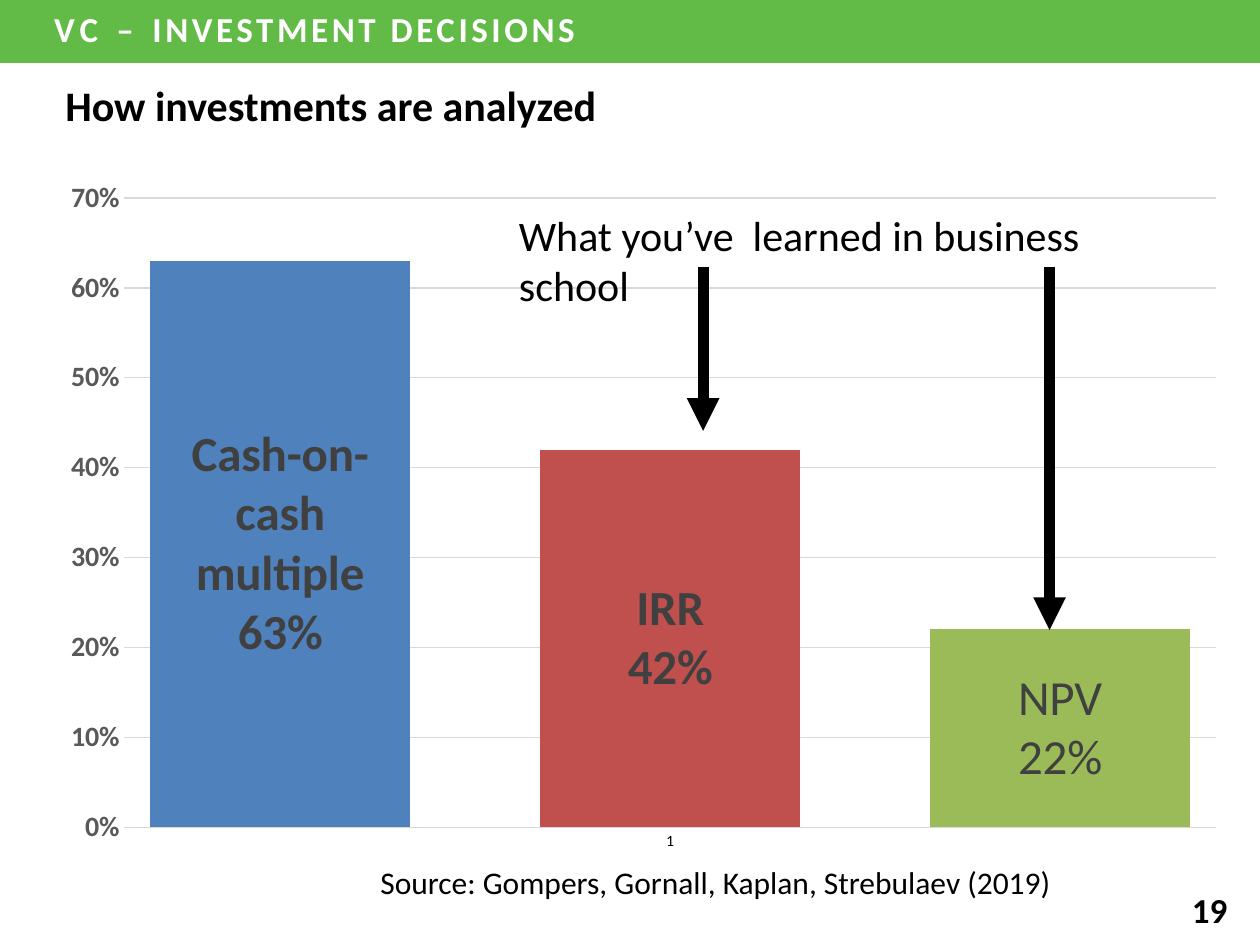
from lxml import etree
from pptx import Presentation
from pptx.chart.data import CategoryChartData
from pptx.dml.color import RGBColor
from pptx.enum.chart import XL_CHART_TYPE, XL_LABEL_POSITION, XL_TICK_MARK
from pptx.enum.shapes import MSO_CONNECTOR, MSO_SHAPE
from pptx.enum.text import MSO_ANCHOR, PP_ALIGN
from pptx.oxml import parse_xml
from pptx.oxml.ns import nsdecls, qn
from pptx.util import Inches, Pt

COLUMN = XL_CHART_TYPE.COLUMN_CLUSTERED
CENTER = XL_LABEL_POSITION.CENTER
NO_TICK = XL_TICK_MARK.NONE
STRAIGHT = MSO_CONNECTOR.STRAIGHT
RECT = MSO_SHAPE.RECTANGLE
TOP, MIDDLE = MSO_ANCHOR.TOP, MSO_ANCHOR.MIDDLE
LEFT, RIGHT = PP_ALIGN.LEFT, PP_ALIGN.RIGHT

FACE = "Calibri"
BLACK = RGBColor(0x00, 0x00, 0x00)
WHITE = RGBColor(0xFF, 0xFF, 0xFF)
GREEN = RGBColor(0x62, 0xBB, 0x46)
GRID = RGBColor(0xD9, 0xD9, 0xD9)
GRAY = RGBColor(0x59, 0x59, 0x59)
DARK = RGBColor(0x40, 0x40, 0x40)
BLUE = RGBColor(0x4F, 0x81, 0xBD)
RED = RGBColor(0xC0, 0x50, 0x4D)
OLIVE = RGBColor(0x9B, 0xBB, 0x59)

METHODS = [
    ("Cash-on-cash multiple", 0.63, BLUE),
    ("IRR", 0.42, RED),
    ("Series 3", 0.22, OLIVE),
]
PLOT = {"x": 0.06, "y": 0.04, "w": 0.92, "h": 0.9}


def set_font(font, size, color=BLACK, bold=False):
    font.name = FACE
    font.size = Pt(size)
    font.bold = bold
    font.color.rgb = color


def add_text(slide, box, text, size, bold=False, align=LEFT):
    shape = slide.shapes.add_textbox(*map(Inches, box))
    frame = shape.text_frame
    frame.word_wrap = True
    frame.vertical_anchor = TOP
    para = frame.paragraphs[0]
    para.text = text
    para.alignment = align
    set_font(para.font, size, bold=bold)


def add_header(slide):
    bar = slide.shapes.add_shape(RECT, 0, 0, Inches(10), Inches(0.5))
    bar.shadow.inherit = False
    bar.fill.solid()
    bar.fill.fore_color.rgb = GREEN
    bar.line.fill.background()
    frame = bar.text_frame
    frame.vertical_anchor = MIDDLE
    frame.margin_left = Inches(0.43)
    frame.margin_top = 0
    frame.margin_bottom = Inches(0.05)
    para = frame.paragraphs[0]
    para.alignment = LEFT
    set_font(para.font, 20, WHITE, True)
    for text, gap in (("VC – ", 300), ("INVESTMENT DECISIONS", 200)):
        run = para.add_run()
        run.text = text
        run.font._element.set("spc", str(gap))


def add_arrow(slide, x, top, end):
    arrow = slide.shapes.add_connector(
        STRAIGHT, Inches(x), Inches(top), Inches(x), Inches(end))
    arrow.line.color.rgb = BLACK
    arrow.line.width = Pt(6.25)
    tail = etree.SubElement(arrow.line._get_or_add_ln(), qn("a:tailEnd"))
    tail.set("type", "triangle")
    etree.SubElement(arrow._element.spPr, qn("a:effectLst"))


def set_line(line):
    line.color.rgb = GRID
    line.width = Pt(0.75)


def style_axes(chart):
    cat, val = chart.category_axis, chart.value_axis
    for axis in (cat, val):
        axis.major_tick_mark = axis.minor_tick_mark = NO_TICK
    set_font(cat.tick_labels.font, 9)
    set_line(cat.format.line)
    set_font(val.tick_labels.font, 16, GRAY, True)
    val.tick_labels.number_format = "0%"
    val.tick_labels.number_format_is_linked = False
    val.minimum_scale = 0
    val.maximum_scale = 0.7
    val.major_unit = 0.1
    val.format.line.fill.background()
    set_line(val.major_gridlines.format.line)


def style_series(series, color):
    series.format.fill.solid()
    series.format.fill.fore_color.rgb = color
    labels = series.data_labels
    set_font(labels.font, 28, DARK, True)
    labels.number_format = "0%"
    labels.number_format_is_linked = False
    labels.position = CENTER
    labels.show_value = True
    labels.show_series_name = True
    mark = etree.SubElement(labels._element, qn("c:separator"))
    mark.text = "\n"


def label_point(series, text):
    label = series.points[0].data_label
    frame = label.text_frame
    frame.text = text
    for para in frame.paragraphs:
        set_font(para.font, 28, DARK)
    label.position = CENTER


def place_plot(chart):
    area = chart._chartSpace.chart.plotArea
    for old in area.findall(qn("c:layout")):
        area.remove(old)
    modes = '<c:xMode val="edge"/><c:yMode val="edge"/>'
    sizes = "".join(f'<c:{k} val="{v}"/>' for k, v in PLOT.items())
    area.insert(0, parse_xml(
        f'<c:layout {nsdecls("c")}><c:manualLayout>'
        f'<c:layoutTarget val="inner"/>{modes}{sizes}'
        '</c:manualLayout></c:layout>'))


def add_bars(slide, box):
    data = CategoryChartData(number_format="0%")
    data.categories = ["1"]
    for name, share, _ in METHODS:
        data.add_series(name, [share])
    chart = slide.shapes.add_chart(COLUMN, *map(Inches, box), data).chart
    chart.has_legend = False
    chart.has_title = False
    set_font(chart.font, 10)
    plot = chart.plots[0]
    plot.vary_by_categories = False
    plot.gap_width = 20
    plot.overlap = -50
    style_axes(chart)
    for series, (_, _, color) in zip(plot.series, METHODS):
        style_series(series, color)
    label_point(plot.series[2], "NPV\n22%")
    place_plot(chart)


def main():
    deck = Presentation()
    deck.slide_width = Inches(10)
    deck.slide_height = Inches(7.5)
    slide = deck.slides.add_slide(deck.slide_layouts[6])
    add_header(slide)
    add_text(slide, (9, 7, 0.84, 0.44), "19", 20, True, RIGHT)
    add_text(slide, (0.42, 0.58, 9, 0.67),
             "How investments are analyzed", 24, True)
    add_bars(slide, (0.42, 1.35, 9.42, 5.55))
    add_text(slide, (4.02, 1.61, 5.4, 0.5),
             "What you’ve  learned in business school", 24)
    add_arrow(slide, 8.33, 2.12, 5)
    add_arrow(slide, 5.58, 2.12, 3.42)
    add_text(slide, (2.92, 6.8, 5.92, 0.4),
             "Source: Gompers, Gornall, Kaplan, Strebulaev (2019)", 18)
    deck.save("out.pptx")


if __name__ == "__main__":
    main()
